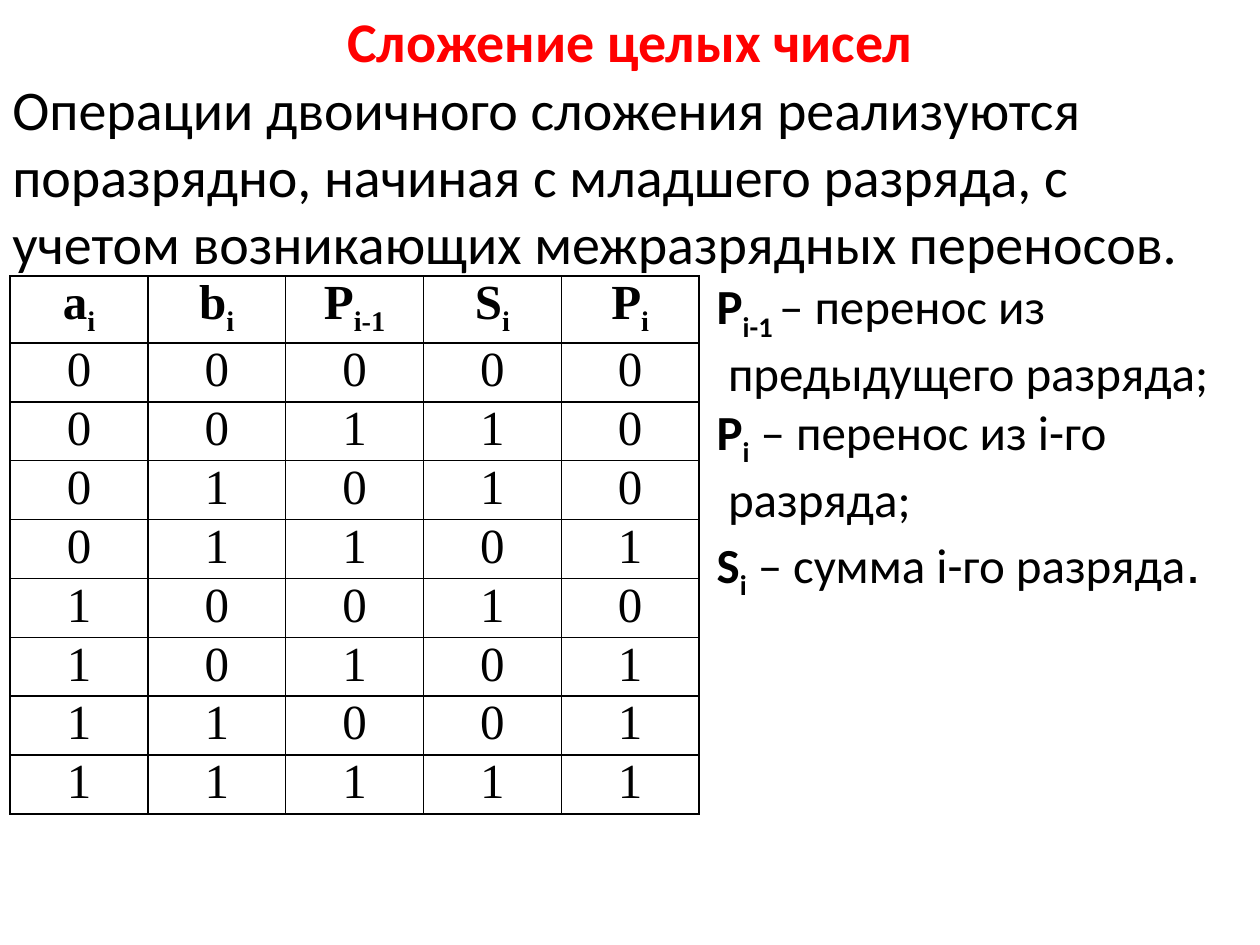
from dataclasses import dataclass
from itertools import product

from lxml import etree
from pptx import Presentation
from pptx import util as u
from pptx.dml import color
from pptx.enum import text
from pptx.oxml import ns

HUES = {"title": "FF0000", "ink": "000000"}
SANS, SERIF, DOT = "Calibri", "Times New Roman", "Arial"
WIDE, HIGH = u.Inches(10), u.Inches(7.5)


@dataclass(frozen=True)
class Area:
    left: float
    top: float
    width: float
    height: float

    def span(self) -> tuple[int, int, int, int]:
        return (int(self.left * WIDE), int(self.top * HIGH),
                int(self.width * WIDE), int(self.height * HIGH))


@dataclass(frozen=True)
class Piece:
    text: str
    size: int = 28
    bold: bool = False
    sub: bool = False
    face: str = SANS
    hue: str = "ink"


@dataclass(frozen=True)
class Sign:
    name: str
    mark: str

    def label(self, face: str = SANS) -> list[Piece]:
        return [Piece(self.name, bold=True, face=face),
                Piece(self.mark, bold=True, sub=True, face=face)]


HEAD = Area(0, 0, 1, 0.08)
BODY = Area(0, 0.072, 1, 0.69)
GRID = Area(0.008, 0.292, 0.547, 0.56)

TITLE = Piece("Сложение целых чисел", 32, True, hue="title")
INTRO = Piece("Операции двоичного сложения реализуются поразрядно, начиная "
              "с младшего разряда, с учетом возникающих межразрядных "
              "переносов.", 32)
NOTES = [
    Sign("P", "i-1 ").label() + [Piece("– перенос из предыдущего разряда;")],
    Sign("P", "i").label() + [Piece(" – перенос из i-го разряда;")],
    Sign("S", "i").label() + [Piece(" – сумма i-го разряда"),
                              Piece(".", 32, face=DOT)],
]
SIGNS = [Sign("a", "i"), Sign("b", "i"), Sign("P", "i-1"),
         Sign("S", "i"), Sign("P", "i")]


def write(para, pieces: list[Piece]) -> None:
    for piece in pieces:
        run = para.add_run()
        run.text = piece.text
        font = run.font
        font.name, font.size = piece.face, u.Pt(piece.size)
        font.bold = piece.bold
        font.color.rgb = color.RGBColor.from_string(HUES[piece.hue])
        if piece.sub:
            run._r.get_or_add_rPr().set("baseline", "-25000")


def frame(cell) -> None:
    cell.fill.background()
    props = cell._tc.get_or_add_tcPr()
    for spot, side in enumerate(("lnL", "lnR", "lnT", "lnB")):
        line = etree.Element(ns.qn(f"a:{side}"), w=str(u.Pt(1)))
        fill = etree.SubElement(line, ns.qn("a:solidFill"))
        etree.SubElement(fill, ns.qn("a:srgbClr"), val=HUES["ink"])
        props.insert(spot, line)


def draw_title(slide) -> None:
    title = slide.shapes.title
    title.left, title.top, title.width, title.height = HEAD.span()
    box = title.text_frame
    box.auto_size = text.MSO_AUTO_SIZE.NONE
    box.vertical_anchor = text.MSO_ANCHOR.TOP
    box.paragraphs[0].alignment = text.PP_ALIGN.CENTER
    write(box.paragraphs[0], [TITLE])


def draw_body(slide) -> None:
    box = slide.shapes.add_textbox(*BODY.span()).text_frame
    box.word_wrap = True
    write(box.paragraphs[0], [INTRO])
    for note in NOTES:
        para = box.add_paragraph()
        props = para._p.get_or_add_pPr()
        props.set("marL", str(u.Inches(5.68)))
        props.set("indent", str(u.Inches(-0.09)))
        write(para, note)


def draw_table(slide) -> None:
    lines = [[sign.label(SERIF) for sign in SIGNS]]
    for a, b, carry in product((0, 1), repeat=3):
        total = a + b + carry
        bits = (a, b, carry, total % 2, total // 2)
        lines.append([[Piece(str(bit), face=SERIF)] for bit in bits])
    table = slide.shapes.add_table(len(lines), len(SIGNS), *GRID.span()).table
    table.first_row = table.horz_banding = False
    for row, line in zip(table.rows, lines):
        for cell, pieces in zip(row.cells, line):
            cell.margin_left = cell.margin_right = u.Inches(0.07)
            cell.margin_top = cell.margin_bottom = 0
            para = cell.text_frame.paragraphs[0]
            para.alignment = text.PP_ALIGN.CENTER
            write(para, pieces)
            frame(cell)


def main() -> None:
    deck = Presentation()
    deck.slide_width, deck.slide_height = WIDE, HIGH
    slide = deck.slides.add_slide(deck.slide_layouts[5])
    draw_title(slide)
    draw_body(slide)
    draw_table(slide)
    deck.save("out.pptx")


if __name__ == "__main__":
    main()
